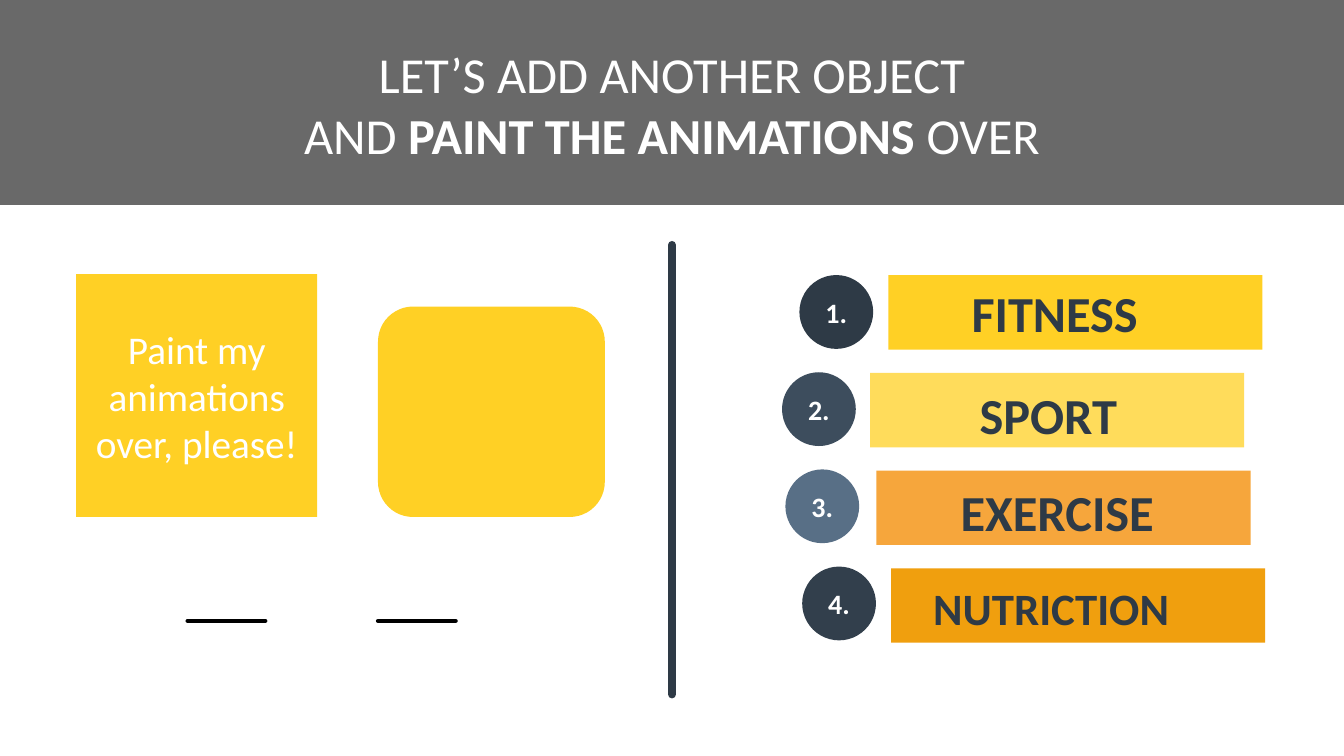
"""Build the slide on painting animations over to another object."""
import pptx
import pptx.dml.color
import pptx.enum.shapes
import pptx.enum.text
import pptx.oxml
import pptx.oxml.ns
import pptx.util

Pt = pptx.util.Pt
SHAPE = pptx.enum.shapes.MSO_SHAPE
ALIGN = pptx.enum.text.PP_ALIGN
ANCHOR = pptx.enum.text.MSO_ANCHOR
AUTO = pptx.enum.text.MSO_AUTO_SIZE

TITLE = [
    [("LET’S ADD ANOTHER OBJECT", False)],
    [("AND ", False), ("PAINT THE ANIMATIONS ", True), ("OVER", False)],
]
REQUEST = "Paint my animations over, please!"
ITEMS = [
    dict(label="FITNESS", size="large", text=(686.9, 198, 134.6, 51),
         circle=571, bar=634.5, circle_fill="navy", bar_fill="yellow"),
    dict(label="SPORT", size="large", text=(692.6, 270.9, 113.8, 51),
         circle=558.6, bar=621.5, circle_fill="slate", bar_fill="pale"),
    dict(label="EXERCISE", size="large", text=(679, 340, 154, 51),
         circle=561, bar=626, circle_fill="steel", bar_fill="orange"),
    dict(label="NUTRICTION", size="medium", text=(659.5, 411, 185, 46),
         circle=573, bar=636.5, circle_fill="ink", bar_fill="amber"),
]
LINES = [
    (480, 175, 480, 496, "navy", 5.75),
    (270, 443.5, 325.5, 443.5, "black", 3),
    (134, 443.5, 189.5, 443.5, "black", 3),
]
THEME = dict(
    font="Calibri",
    sizes=dict(large=36, medium=32, request=28, number=20),
    colors=dict(white="FFFFFF", black="000000", band="0D0D0D", navy="2E3A46",
                slate="3D4D5D", steel="586F86", ink="323F4C", yellow="FFD025",
                pale="FFDC5B", orange="F6A63C", amber="F09F0E"),
)
LIST_TOP, CIRCLE, CIRCLE_STEP = 196.5, 52.7, 69.4
BAR_WIDTH, BAR_HEIGHT, BAR_STEP = 267.3, 53.2, 69.8


def color(name):
    """Return the theme colour of that name."""
    return pptx.dml.color.RGBColor.from_string(THEME["colors"][name])


def add_block(shapes, kind, box, fill):
    """Add a plain filled shape without outline or shadow."""
    sp = shapes.add_shape(kind, *map(Pt, box))
    sp.shadow.inherit = False
    sp.fill.solid()
    sp.fill.fore_color.rgb = color(fill)
    sp.line.fill.background()
    return sp


def write(sp, paragraphs, size, ink="white", align=ALIGN.CENTER, **frame):
    """Fill a text frame with paragraphs of (text, bold) runs."""
    tf = sp.text_frame
    for name, value in frame.items():
        setattr(tf, name, value)
    for i, runs in enumerate(paragraphs):
        p = tf.add_paragraph() if i else tf.paragraphs[0]
        p.alignment = align
        p.line_spacing = 1.0
        for text, bold in runs:
            r = p.add_run()
            r.text = text
            look = dict(name=THEME["font"], size=Pt(THEME["sizes"][size]), bold=bold)
            for name, value in look.items():
                setattr(r.font, name, value)
            r.font.color.rgb = color(ink)


def add_line(s, x1, y1, x2, y2, ink, width):
    """Add a round-ended line without shadow."""
    line = s.shapes.add_connector(
        pptx.enum.shapes.MSO_CONNECTOR.STRAIGHT, *map(Pt, (x1, y1, x2, y2)))
    line.line.color.rgb = color(ink)
    line.line.width = Pt(width)
    properties = line.element.spPr
    properties.find(pptx.oxml.ns.qn("a:ln")).set("cap", "rnd")
    properties.append(pptx.oxml.parse_xml(
        f'<a:effectLst {pptx.oxml.ns.nsdecls("a")}/>'))


def add_item(s, i, item):
    """Add one numbered circle and its labelled bar."""
    circle = add_block(s.shapes, SHAPE.OVAL,
                       (item["circle"], LIST_TOP + i * CIRCLE_STEP, CIRCLE, CIRCLE),
                       item["circle_fill"])
    write(circle, [[(f"{i + 1}.", True)]], "number", vertical_anchor=ANCHOR.MIDDLE)
    group = s.shapes.add_group_shape()
    add_block(group.shapes, SHAPE.RECTANGLE,
              (item["bar"], LIST_TOP + i * BAR_STEP, BAR_WIDTH, BAR_HEIGHT),
              item["bar_fill"])
    label = group.shapes.add_textbox(*map(Pt, item["text"]))
    write(label, [[(item["label"], True)]], item["size"], "navy", ALIGN.LEFT,
          word_wrap=False, auto_size=AUTO.SHAPE_TO_FIT_TEXT)


def add_header(s):
    """Add the translucent band and place the title above it."""
    band = add_block(s.shapes, SHAPE.RECTANGLE, (0, 0, 960, 146.3), "band")
    rgb = band.element.spPr.find(".//" + pptx.oxml.ns.qn("a:srgbClr"))
    rgb.append(pptx.oxml.parse_xml(
        f'<a:alpha {pptx.oxml.ns.nsdecls("a")} val="62000"/>'))
    title = s.shapes.title
    box = dict(left=207, top=27.4, width=546, height=94.5)
    for name, value in box.items():
        setattr(title, name, Pt(value))
    write(title, TITLE, "large", word_wrap=False, auto_size=AUTO.NONE,
          vertical_anchor=ANCHOR.TOP)
    s.shapes.element.append(title.element)


def main():
    """Build and save the presentation."""
    prs = pptx.Presentation()
    prs.slide_width, prs.slide_height = Pt(960), Pt(540)
    s = prs.slides.add_slide(prs.slide_layouts[5])
    square = add_block(s.shapes, SHAPE.RECTANGLE, (54.4, 195.8, 172.2, 173.5), "yellow")
    write(square, [[(REQUEST, False)]], "request", word_wrap=True,
          vertical_anchor=ANCHOR.MIDDLE)
    for line in LINES:
        add_line(s, *line)
    for i, item in enumerate(ITEMS):
        add_item(s, i, item)
    add_header(s)
    add_block(s.shapes, SHAPE.ROUNDED_RECTANGLE, (270, 219, 162, 150.3), "yellow")
    prs.save("out.pptx")


if __name__ == "__main__":
    main()
